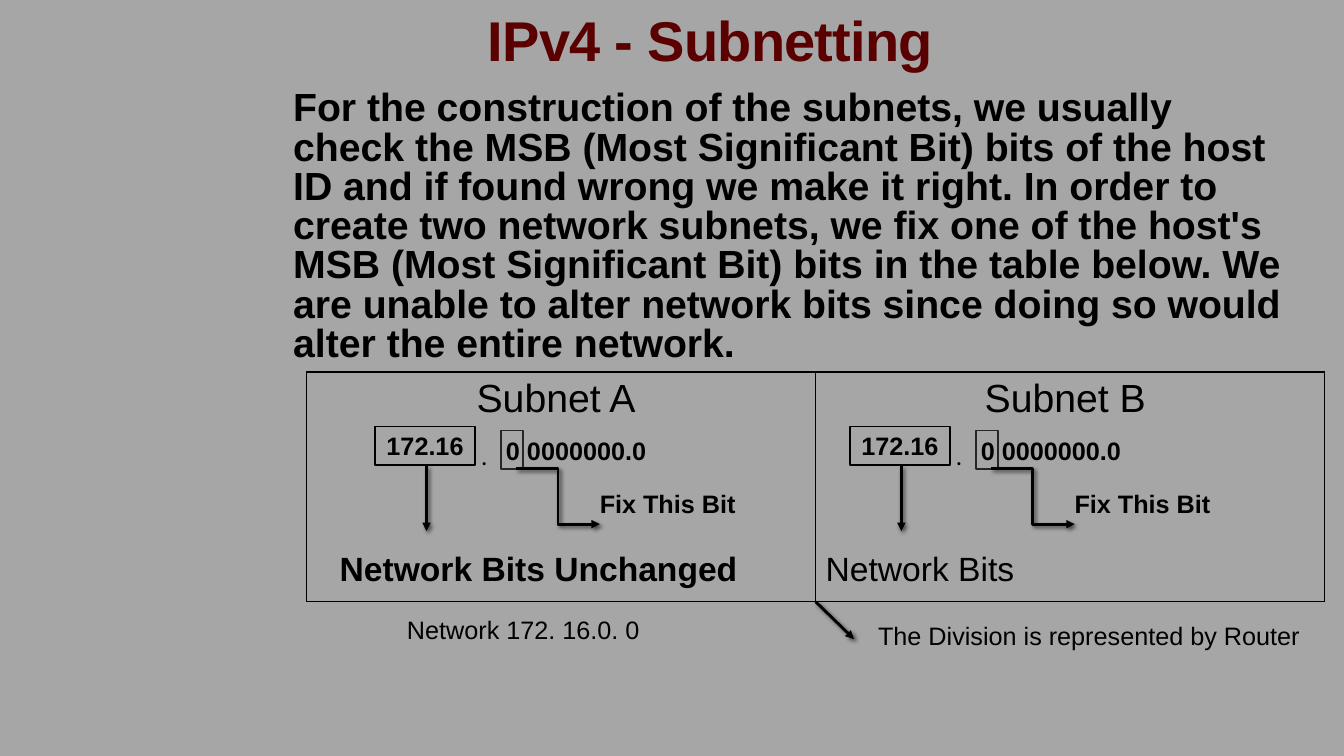
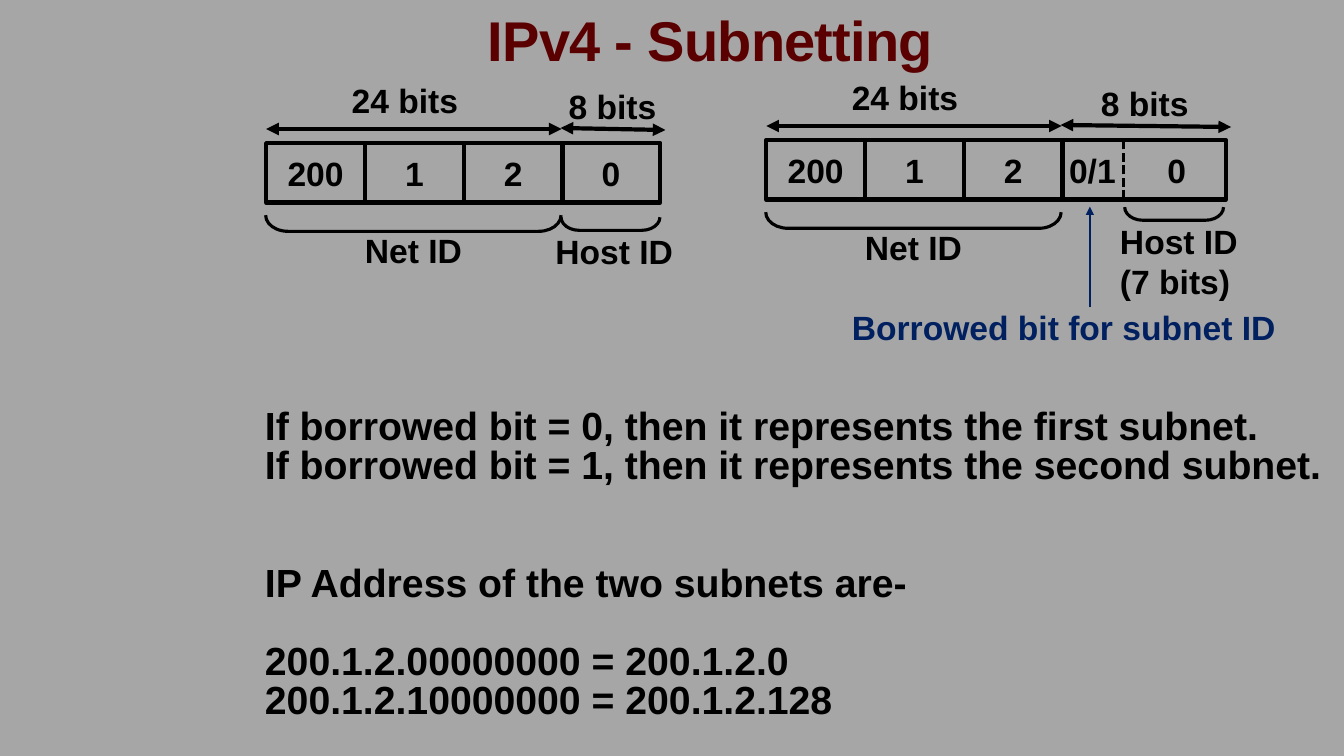
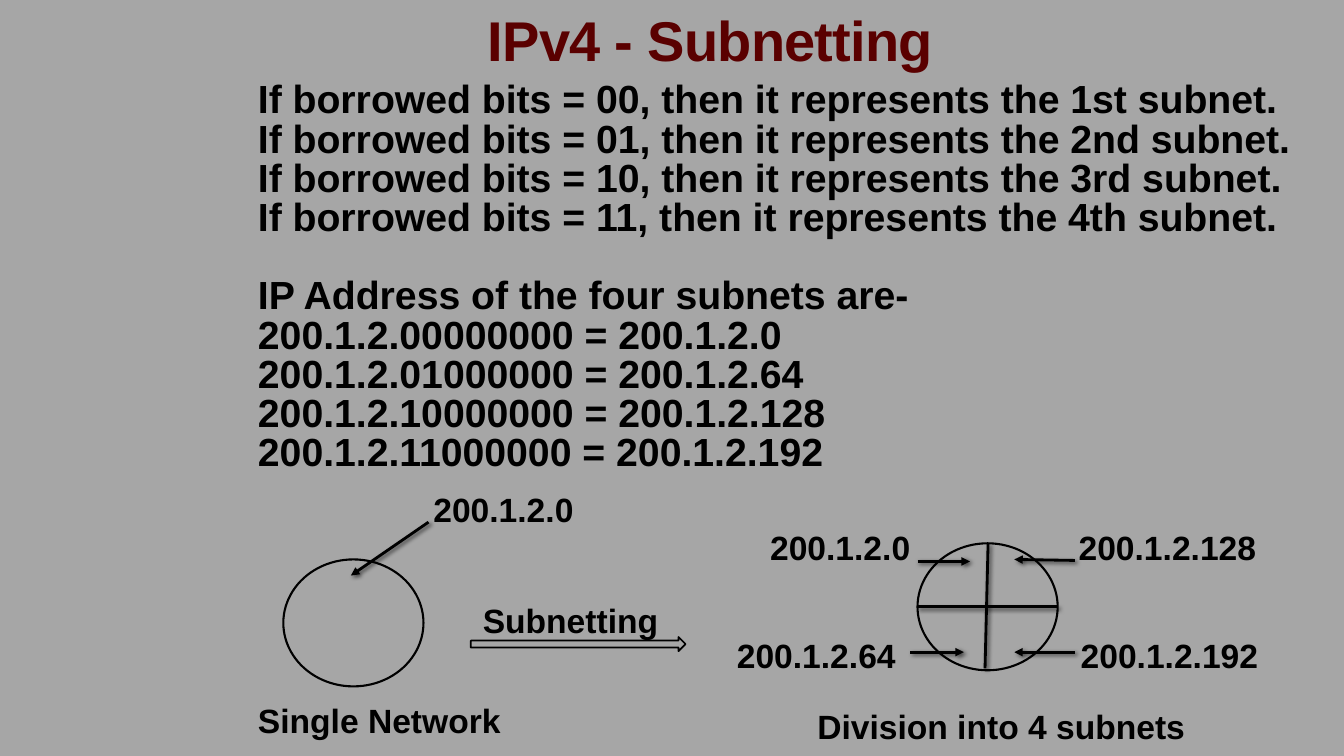
from lxml import etree
from pptx import Presentation
from pptx.dml.color import RGBColor
from pptx.enum import dml, shapes, text
from pptx.oxml import parse_xml
from pptx.oxml.ns import qn
from pptx.util import Emu, Pt

PX = 9144  # 100 px to the inch
COLORS = {"back": "A6A6A6", "title": "5A0000", "ink": "000000",
          "bit": "262626", "borrowed": "002060"}
FONT = "Arial"
A_NS = 'xmlns:a="http://schemas.openxmlformats.org/drawingml/2006/main"'
SHADOW = (f'<a:effectLst {A_NS}><a:outerShdw blurRad="38100" dist="25400" dir="2700000">'
          f'<a:srgbClr val="{COLORS["ink"]}"><a:alpha val="60000"/></a:srgbClr>'
          '</a:outerShdw></a:effectLst>')
NO_SHADOW = f'<a:effectLst {A_NS}/>'
LEFT, CENTER, JUSTIFY = (text.PP_ALIGN.LEFT, text.PP_ALIGN.CENTER,
                         text.PP_ALIGN.JUSTIFY)


def px(*lengths):
    return [Emu(n * PX) for n in lengths]


def rgb(name):
    return RGBColor.from_string(COLORS[name])


class Deck:
    def __init__(self, width, height):
        self.prs = Presentation()
        self.prs.slide_width, self.prs.slide_height = px(width, height)
        self.s = None

    def slide(self, title):
        self.s = self.prs.slides.add_slide(self.prs.slide_layouts[6])
        fill = self.s.background.fill
        fill.solid()
        fill.fore_color.rgb = rgb("back")
        tf = self.text(474, 0, 490, 77, title, 40, color="title")
        tf.vertical_anchor = text.MSO_ANCHOR.BOTTOM
        p = tf.paragraphs[0]
        p.line_spacing = 0.85
        p.runs[0].font._element.set("spc", "-50")

    def format(self, tf, size, bold=True, color="ink", align=LEFT, font=FONT):
        for p in tf.paragraphs:
            p.alignment = align
            for r in p.runs:
                r.font.name, r.font.size, r.font.bold = font, Pt(size), bold
                r.font.color.rgb = rgb(color)

    def text(self, x, y, w, h, words, size=24, wrap=True, **style):
        tf = self.s.shapes.add_textbox(*px(x, y, w, h)).text_frame
        tf.word_wrap = wrap
        tf.text = words
        self.format(tf, size, **style)
        return tf

    def body(self, x, y, w, h, words, align=JUSTIFY, gaps=None):
        """gaps maps a paragraph number to the points of space before it."""
        tf = self.text(x, y, w, h, words, 28, align=align)
        for p in tf.paragraphs:
            p.line_spacing = Pt(28)
        for number, space in (gaps or {}).items():
            tf.paragraphs[number].space_before = Pt(space)

    def shape(self, kind, x, y, w, h, line, words="", size=24, color="ink", indent=10):
        sp = self.s.shapes.add_shape(kind, *px(x, y, w, h))
        sp.shadow.inherit = False
        sp.fill.background()
        sp.line.color.rgb = rgb(color)
        sp.line.width = Pt(line)
        if words:
            tf = sp.text_frame
            tf.text = words
            tf.margin_left = px(indent)[0]
            tf.vertical_anchor = text.MSO_ANCHOR.MIDDLE
            self.format(tf, size, align=CENTER)
        return sp

    def box(self, *args, **style):
        return self.shape(shapes.MSO_SHAPE.RECTANGLE, *args, **style)

    def bracket(self, x, y, w, h):
        """A bracket that opens upwards: a left bracket turned on its centre."""
        sp = self.shape(shapes.MSO_SHAPE.LEFT_BRACKET, x + (w - h) // 2,
                        y + (h - w) // 2, h, w, 2.25)
        sp.rotation = 270
        sp.adjustments[0] = 1.39

    def line(self, x1, y1, x2, y2, width=2, ends=("tailEnd",), shadow=True,
             color="ink", dash=None, kind=shapes.MSO_CONNECTOR.STRAIGHT):
        cn = self.s.shapes.add_connector(kind, *px(x1, y1, x2, y2))
        cn.line.color.rgb = rgb(color)
        cn.line.width = Pt(width)
        if dash:
            cn.line.dash_style = dash
        ln = cn.line._get_or_add_ln()
        for end in ends:
            etree.SubElement(ln, qn("a:" + end)).set("type", "triangle")
        cn._element.spPr.append(parse_xml(SHADOW if shadow else NO_SHADOW))

    def table(self, x, y, w, h, headings):
        table = self.s.shapes.add_table(1, len(headings), *px(x, y, w, h)).table
        table.first_row = table.horz_banding = False
        for cell, heading in zip(table.rows[0].cells, headings):
            cell.text = heading
            cell.margin_right = px(20)[0]
            self.format(cell.text_frame, 28, bold=False, align=CENTER)
            cell.fill.background()
            tc_pr = cell._tc.get_or_add_tcPr()
            for place, side in enumerate("LRTB"):
                tc_pr.insert(place, parse_xml(
                    f'<a:ln{side} {A_NS} w="12700"><a:solidFill><a:srgbClr '
                    f'val="{COLORS["ink"]}"/></a:solidFill></a:ln{side}>'))

    # Parts of the diagrams
    def subnet(self, x):
        self.box(x, 423, 99, 38, 1.25, "172.16", size=18)
        self.line(x + 51, 462, x + 51, 527)
        self.text(x + 99, 432, 16, 40, ".", 18, wrap=False, bold=False,
                  align=CENTER, font="Calibri")
        self.box(x + 125, 427, 22, 38, 1.25, color="bit")
        self.text(x + 120, 427, 165, 40, "0 0000000.0", 18)
        self.line(x + 140, 465, x + 223, 520, kind=shapes.MSO_CONNECTOR.ELBOW)
        self.text(x + 213, 479, 158, 41, "Fix This Bit", 18)

    def address(self, x, y, host_width, host_indent=10):
        host, both = x + 293, ("headEnd", "tailEnd")
        self.box(host, y, host_width, 59, 3, "0", indent=host_indent)
        for i, octet in enumerate(("200", "1", "2")):
            self.box(x + 98 * i, y, 98, 59, 3, octet)
        self.line(x, y - 14, host, y - 14, 3, both, shadow=False)
        self.line(host - 1, y - 15, host + host_width + 5, y - 13, 3, both, shadow=False)
        self.text(x + 75, y - 68, 127, 50, "24 bits", wrap=False)
        self.text(host + host_width // 2 - 52, y - 62, 108, 50, "8 bits", wrap=False)
        self.bracket(x, y + 72, 293, 16)
        self.text(x + 88, y + 81, 117, 50, "Net ID", wrap=False)


def fixed_bit(d):
    d.body(281, 85, 1010, 285,
           "For the construction of the subnets, we usually check the MSB (Most "
           "Significant Bit) bits of the host ID and if found wrong we make it right. "
           "In order to create two network subnets, we fix one of the host's MSB (Most "
           "Significant Bit) bits in the table below. We are unable to alter network "
           "bits since doing so would alter the entire network.", align=LEFT)
    d.table(304, 369, 1010, 228, ("Subnet A", "Subnet B"))
    for x in (372, 843):
        d.subnet(x)
    d.text(327, 539, 416, 50, "Network Bits Unchanged")
    d.text(809, 539, 272, 50, "Network Bits", bold=False)
    d.text(348, 605, 342, 40, "Network 172. 16.0. 0", 18, bold=False, align=CENTER)
    d.line(809, 597, 847, 634)
    d.text(819, 610, 522, 40, "The Division is represented by Router", 18,
           bold=False, align=CENTER)


def borrowed_bit(d):
    d.body(253, 401, 1080, 324,
           "If borrowed bit = 0, then it represents the first subnet.\n"
           "If borrowed bit = 1, then it represents the second subnet.\n"
           "IP Address of the two subnets are-\n"
           "200.1.2.00000000 = 200.1.2.0\n"
           "200.1.2.10000000 = 200.1.2.128", gaps={2: 56, 3: 28})
    # Whole network
    d.address(264, 142, 98)
    d.bracket(557, 216, 98, 13)
    d.text(541, 224, 138, 50, "Host ID", wrap=False)
    # Network with one borrowed bit
    d.address(760, 139, 163, host_indent=75)
    d.bracket(1116, 206, 98, 13)
    d.text(1101, 214, 152, 91, "Host ID (7 bits)")
    d.line(1114, 198, 1114, 138, 2.25, (), shadow=False,
           dash=dml.MSO_LINE.SQUARE_DOT)
    d.text(1050, 144, 67, 50, "0/1", wrap=False, align=CENTER)
    d.line(1081, 305, 1081, 205, 1.5, shadow=False, color="borrowed")
    d.text(835, 300, 442, 50, "Borrowed bit for subnet ID", color="borrowed")


def four_subnets(d):
    d.body(246, 77, 1071, 403,
           "If borrowed bits = 00, then it represents the 1st subnet.\n"
           "If borrowed bits = 01, then it represents the 2nd subnet.\n"
           "If borrowed bits = 10, then it represents the 3rd subnet.\n"
           "If borrowed bits = 11, then it represents the 4th subnet.\n"
           "IP Address of the four subnets are-\n"
           "200.1.2.00000000 = 200.1.2.0\n"
           "200.1.2.01000000 = 200.1.2.64\n"
           "200.1.2.10000000 = 200.1.2.128\n"
           "200.1.2.11000000 = 200.1.2.192", gaps={4: 28})
    # Networks before and after
    for x, y in ((281, 555), (910, 539)):
        d.shape(shapes.MSO_SHAPE.OVAL, x, y, 139, 126, 1.5)
    d.line(980, 539, 977, 663, ends=())
    d.line(910, 602, 1049, 602, ends=())
    d.shape(shapes.MSO_SHAPE.RIGHT_ARROW, 467, 632, 213, 14, 1.25)
    # Labels
    for x, y, w, label in ((469, 590, 213, "Subnetting"),
                           (420, 480, 213, "200.1.2.0"),
                           (754, 518, 213, "200.1.2.0"),
                           (1060, 518, 213, "200.1.2.128"),
                           (721, 625, 195, "200.1.2.64"),
                           (1062, 625, 223, "200.1.2.192"),
                           (246, 689, 281, "Single Network")):
        d.text(x, y, w, 44, label)
    d.text(789, 695, 408, 44, "Division into 4 subnets", align=CENTER)
    # Pointers from the labels
    for ends in ((425, 518, 348, 571), (910, 557, 962, 557), (1066, 556, 1006, 555),
                 (903, 647, 956, 647), (1066, 647, 1006, 647)):
        d.line(*ends)


def main():
    d = Deck(1333, 750)
    for content in (fixed_bit, borrowed_bit, four_subnets):
        d.slide("IPv4 - Subnetting")
        content(d)
    d.prs.save("out.pptx")


if __name__ == "__main__":
    main()
